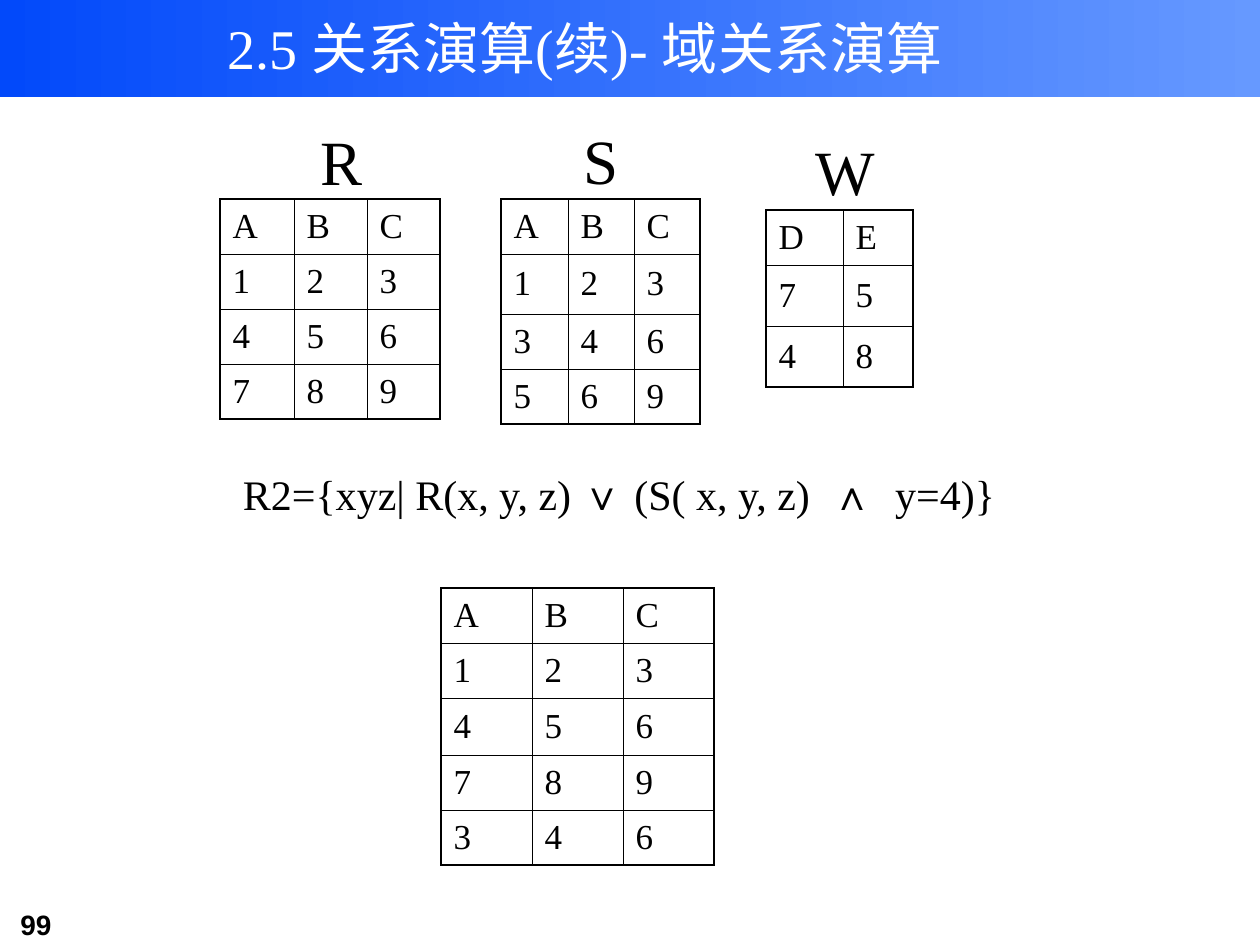
"""Build a slide on domain relational calculus with three relations and a query result."""
from lxml import etree
from pptx import Presentation, util as u
from pptx.dml.color import RGBColor
from pptx.enum import shapes, text
from pptx.oxml.ns import qn

BLACK = RGBColor(0x00, 0x00, 0x00)
WHITE = RGBColor(0xFF, 0xFF, 0xFF)
DEEP_BLUE = RGBColor(0x02, 0x49, 0xFA)
LIGHT_BLUE = RGBColor(0x66, 0x99, 0xFF)
SERIF = "Times New Roman"
SANS = "Arial"
OUTER_LINE = 1.08
INNER_LINE = 0.45


def px(length):
    return u.Emu(round(length * 914400 / 126))


class SlideBuilder:
    def __init__(self, presentation):
        self.slide = presentation.slides.add_slide(presentation.slide_layouts[6])

    def banner(self, left, top, width, height):
        shape = self.slide.shapes.add_shape(
            shapes.MSO_SHAPE.RECTANGLE, px(left), px(top), px(width), px(height))
        shape.shadow.inherit = False
        shape.line.fill.background()
        shape.fill.gradient()
        shape.fill.gradient_angle = 0
        for stop, color in zip(shape.fill.gradient_stops, (DEEP_BLUE, LIGHT_BLUE)):
            stop.color.rgb = color

    def run(self, paragraph, words, size, font=SERIF, color=BLACK, bold=False):
        run = paragraph.add_run()
        run.text = words
        run.font.size = u.Pt(size)
        run.font.name = font
        run.font.color.rgb = color
        run.font.bold = bold

    def label(self, left, top, width, height, runs, size, color=BLACK, bold=False,
              align=text.PP_ALIGN.CENTER, anchor=text.MSO_ANCHOR.TOP):
        shape = self.slide.shapes.add_textbox(px(left), px(top), px(width), px(height))
        frame = shape.text_frame
        frame.word_wrap = True
        frame.vertical_anchor = anchor
        paragraph = frame.paragraphs[0]
        paragraph.alignment = align
        for words, font in runs:
            self.run(paragraph, words, size, font, color, bold)

    def border(self, cell, side, width):
        properties = cell._tc.get_or_add_tcPr()
        line = etree.SubElement(properties, qn(f"a:ln{side}"), w=str(u.Pt(width)))
        fill = etree.SubElement(line, qn("a:solidFill"))
        etree.SubElement(fill, qn("a:srgbClr"), val=str(BLACK))

    def relation(self, left, top, widths, heights, rows):
        frame = self.slide.shapes.add_table(
            len(heights), len(widths), px(left), px(top), px(sum(widths)), px(sum(heights)))
        table = frame.table
        table.first_row = table.horz_banding = False
        for column, width in zip(table.columns, widths):
            column.width = px(width)
        for row, height in zip(table.rows, heights):
            row.height = px(height)
        for i, values in enumerate(rows):
            for j, value in enumerate(values):
                cell = table.cell(i, j)
                cell.vertical_anchor = text.MSO_ANCHOR.MIDDLE
                self.run(cell.text_frame.paragraphs[0], value, 20)
                edges = {"L": j == 0, "R": j == len(widths) - 1,
                         "T": i == 0, "B": i == len(heights) - 1}
                for side, outer in edges.items():
                    self.border(cell, side, OUTER_LINE if outer else INNER_LINE)
                cell.fill.background()


def main():
    presentation = Presentation()
    presentation.slide_width, presentation.slide_height = px(1260), px(945)
    builder = SlideBuilder(presentation)
    builder.banner(0, 0, 1260, 97)
    builder.label(8, 901, 154, 46, [("99", SANS)], 16, bold=True,
                  align=text.PP_ALIGN.LEFT)
    builder.label(131, 5, 908, 84, [("2.5 关系演算(续)- 域关系演算", SERIF)], 32,
                  color=WHITE, anchor=text.MSO_ANCHOR.MIDDLE)

    builder.relation(220, 199, [74, 73, 73], [55] * 4, ["ABC", "123", "456", "789"])
    builder.relation(501, 199, [67, 66, 66], [55, 60, 55, 55],
                     ["ABC", "123", "346", "569"])
    builder.relation(766, 210, [77, 70], [55, 61, 61], ["DE", "75", "48"])
    for name, left, top in (("R", 294, 116), ("S", 553, 115), ("W", 798, 126)):
        builder.label(left, top, 95, 88, [(name, SERIF)], 36)

    formula = [("R2={xyz| R(x, y, z) ", SERIF), ("∨", SANS), (" (S( x, y, z)  ", SERIF),
               ("∧ ", SANS), (" y=4)}", SERIF)]
    builder.label(136, 462, 966, 63, formula, 24)
    builder.relation(441, 588, [91] * 3, [55, 55, 57, 55, 55],
                     ["ABC", "123", "456", "789", "346"])
    presentation.save("out.pptx")


if __name__ == "__main__":
    main()
